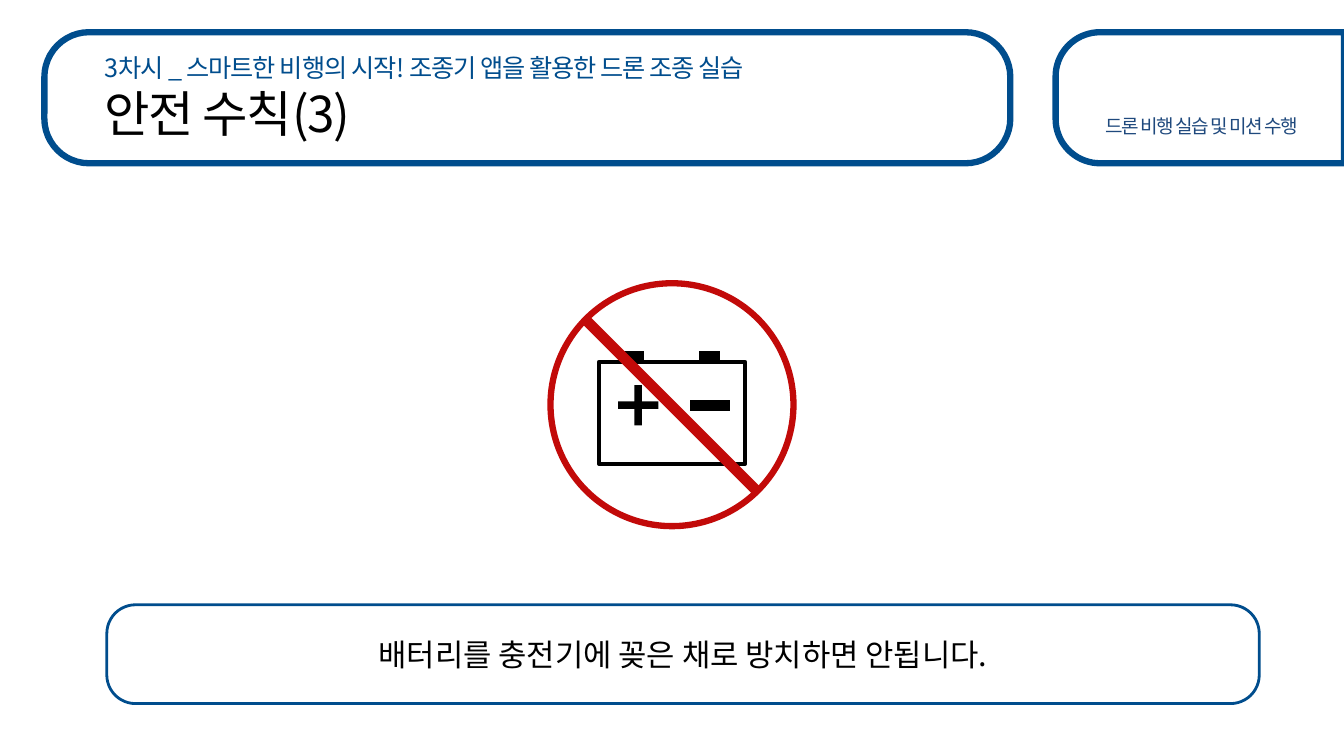
"""Build a drone safety slide with a warning sign for battery charging."""
from math import cos, radians, sin

from lxml import etree
from pptx import Presentation
from pptx.dml.color import RGBColor
from pptx.enum.shapes import MSO_SHAPE
from pptx.enum.text import MSO_ANCHOR, MSO_AUTO_SIZE, PP_ALIGN
from pptx.oxml.ns import qn
from pptx.util import Inches, Pt

LEFT, CENTER = PP_ALIGN.LEFT, PP_ALIGN.CENTER
TOP, MIDDLE = MSO_ANCHOR.TOP, MSO_ANCHOR.MIDDLE
ROUND, RECT, OVAL = MSO_SHAPE.ROUNDED_RECTANGLE, MSO_SHAPE.RECTANGLE, MSO_SHAPE.OVAL
PLUS, MINUS = MSO_SHAPE.CROSS, MSO_SHAPE.MATH_MINUS
FONT = "Noto Sans CJK KR"
COLORS = {"blue": "004D8D", "navy": "1F497D", "black": "000000",
          "white": "FFFFFF", "red": "C20A09"}

HEADS = [
    (0, (0.94, 0.82, 8.39, 0.59), [("안전 수칙(3)", -100)], 35.3, "black", LEFT, 0.1),
    (1, (0.94, 0.52, 8.39, 0.31),
     [("3차시 _ ", -100), ("스마트한 비행의 시작! 조종기 앱을 활용한 드론 조종 실습", -70)],
     18, "blue", LEFT, 0.1),
    (3, (10.83, 1.14, 2.17, 0.39), [("드론 비행 실습 및 미션 수행", -100)],
     13.6, "navy", CENTER, 0),
]
RULE = "배터리를 충전기에 꽂은 채로 방치하면 안됩니다."
SIGN = [
    (RECT, (5.94, 3.59, 1.45, 1.01), None, ("black", 3), 0),
    (PLUS, (6.13, 3.82, 0.4, 0.4), "black", None, 0),
    (MINUS, (6.77, 3.79, 0.54, 0.47), "black", None, 0),
    (MINUS, (6.14, 3.3, 0.28, 0.47), "black", None, 0),
    (MINUS, (6.9, 3.3, 0.28, 0.47), "black", None, 0),
    (OVAL, (5.46, 2.81, 2.41, 2.41), None, ("red", 4.5), 0),
    (MINUS, (5.03, 3.8, 3.26, 0.45), "red", None, 45),
]
TAB = (10.47, 0.32, 2.86, 1.3)
RADIUS = 0.44


def color(name):
    return RGBColor.from_string(COLORS[name])


def paint(shape, fill, line):
    shape.shadow.inherit = False
    if fill:
        shape.fill.solid()
        shape.fill.fore_color.rgb = color(fill)
    else:
        shape.fill.background()
    if line:
        shape.line.color.rgb = color(line[0])
        shape.line.width = Pt(line[1])
    else:
        shape.line.fill.background()


def draw(shapes, kind, box, fill, line):
    shape = shapes.add_shape(kind, *map(Inches, box))
    paint(shape, fill, line)
    return shape


def write(frame, runs, size, tint, align, anchor):
    frame.word_wrap = True
    frame.auto_size = MSO_AUTO_SIZE.NONE
    frame.vertical_anchor = anchor
    para = frame.paragraphs[0]
    para.alignment = align
    para.space_before = Pt(0)
    font = para.font
    font.name, font.size, font.bold = FONT, Pt(size), False
    font.color.rgb = color(tint)
    etree.SubElement(font._element, qn("a:ea"), typeface=FONT)
    for text, gap in runs:
        run = para.add_run()
        run.text = text
        if gap:
            run._r.get_or_add_rPr().set("spc", str(gap))


def draw_tab(shapes):
    left, top, width, height = TAB
    right, base = left + width, top + height
    arcs = [(left + RADIUS + RADIUS * cos(radians(deg)),
             mid + RADIUS * sin(radians(deg)))
            for mid, start in ((base - RADIUS, 90), (top + RADIUS, 180))
            for deg in range(start, start + 91, 5)]
    points = [(Inches(x), Inches(y)) for x, y in [(right, base), *arcs, (right, top)]]
    pen = shapes.build_freeform(*points[0])
    pen.add_line_segments(points[1:], close=True)
    tab = pen.convert_to_shape()
    paint(tab, "white", ("blue", 4.5))
    return tab


def main():
    deck = Presentation()
    deck.slide_width, deck.slide_height = Inches(13.33), Inches(7.5)
    slide = deck.slides.add_slide(deck.slide_layouts[4])
    shapes = slide.shapes
    holders = {item.placeholder_format.idx: item for item in slide.placeholders}

    for key, box, runs, size, tint, align, inset in HEADS:
        holder = holders.pop(key)
        holder.left, holder.top, holder.width, holder.height = map(Inches, box)
        frame = holder.text_frame
        frame.margin_left = frame.margin_right = Inches(inset)
        frame.margin_top = frame.margin_bottom = 0
        write(frame, runs, size, tint, align, TOP)
    for spare in holders.values():
        spare._element.getparent().remove(spare._element)

    panel = draw(shapes, ROUND, (0.44, 0.32, 9.58, 1.3), "white", ("blue", 4.5))
    panel.adjustments[0] = 0.341
    for back in (panel, draw_tab(shapes)):
        shapes._spTree.insert(2, back._element)

    note = draw(shapes, ROUND, (1.06, 6, 11.43, 0.98), "white", ("blue", 2))
    note.adjustments[0] = 0.29
    write(note.text_frame, [(RULE, 0)], 22, "black", CENTER, MIDDLE)

    group = shapes.add_group_shape()
    for kind, box, fill, line, turn in SIGN:
        part = draw(group.shapes, kind, box, fill, line)
        part.rotation = turn
        if kind == PLUS:
            part.adjustments[0] = 0.408
    deck.save("out.pptx")


if __name__ == "__main__":
    main()
